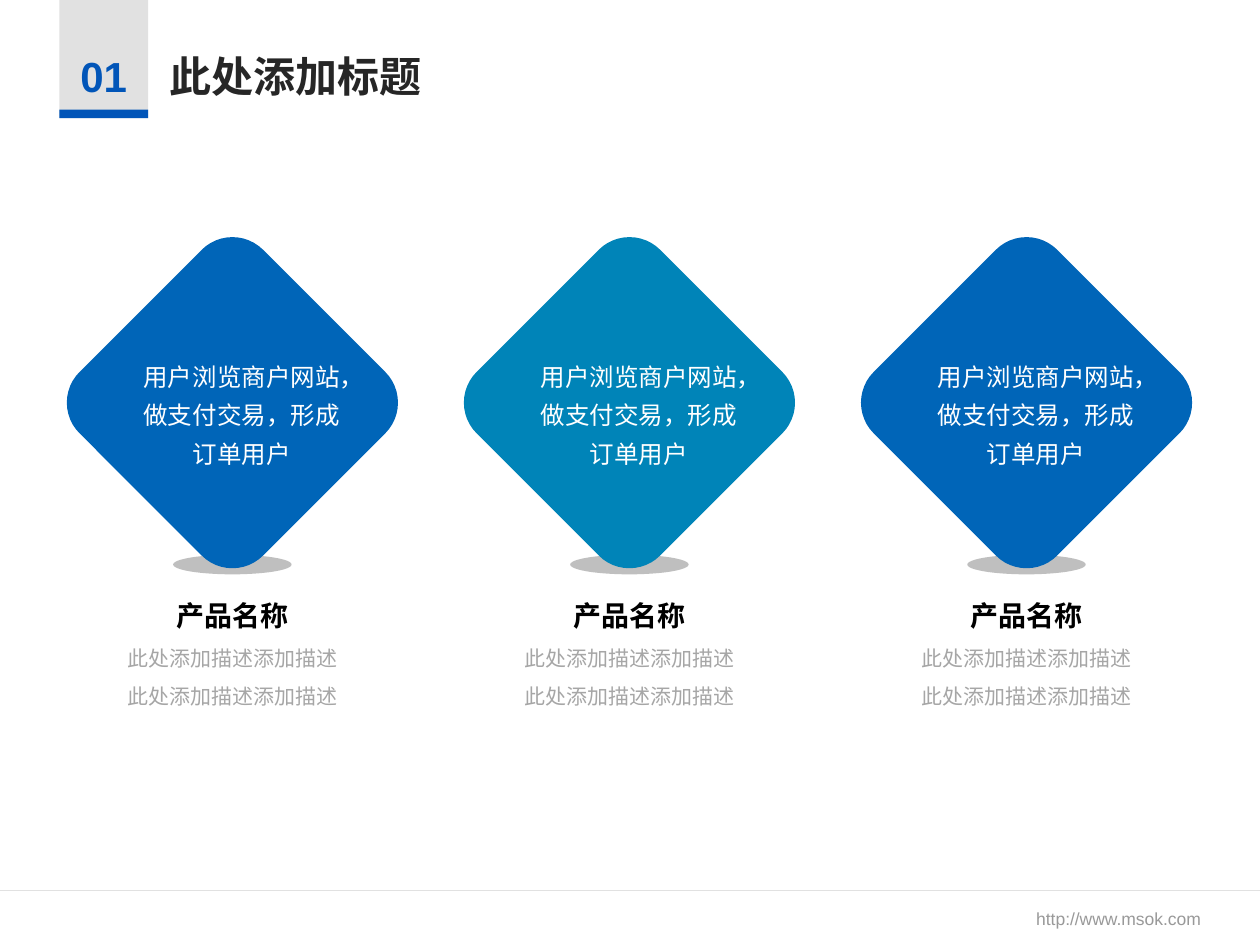
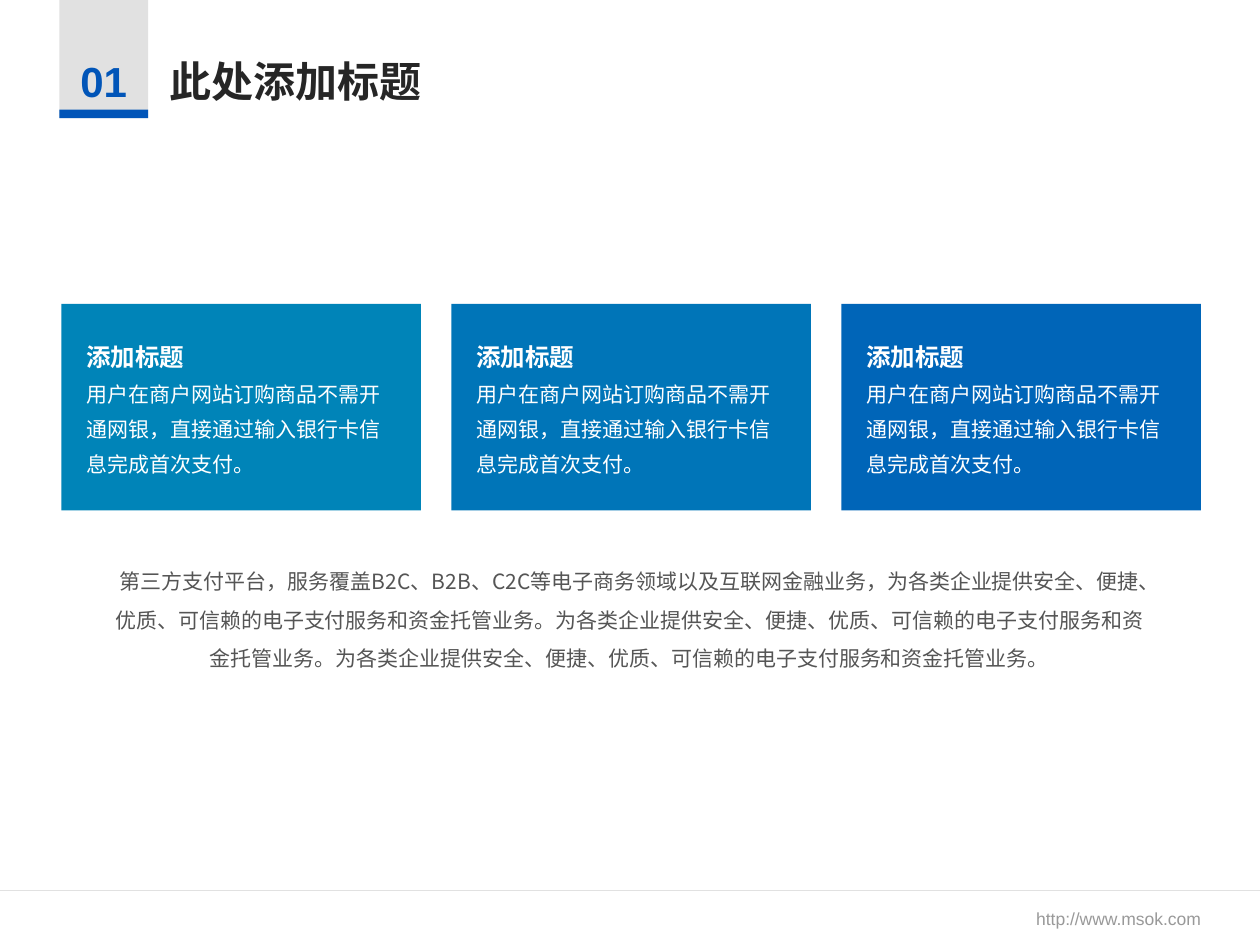
"""Build two product slides that share a numbered header and a footer."""
from dataclasses import dataclass

from lxml.etree import SubElement
from pptx import Presentation
from pptx.dml.color import RGBColor
from pptx.enum.shapes import MSO_CONNECTOR, MSO_SHAPE
from pptx.enum.text import PP_ALIGN
from pptx.oxml.ns import qn
from pptx.util import Pt

SECTION = "01"
TITLE = "此处添加标题"
FOOTER = "http://www.msok.com"

PRODUCT_NAME = "产品名称"
PRODUCT_DETAIL = "此处添加描述添加描述此处添加描述添加描述"
PRODUCT_TEXT = "用户浏览商户网站，做支付交易，形成订单用户"
PRODUCTS = [
    (color, PRODUCT_TEXT, PRODUCT_NAME, PRODUCT_DETAIL)
    for color in ("0065B8", "0084B8", "0065B8")
]

CARD_TITLE = "添加标题"
CARD_TEXT = "用户在商户网站订购商品不需开通网银，直接通过输入银行卡信息完成首次支付。"
CARDS = [(color, CARD_TITLE, CARD_TEXT) for color in ("0084B8", "0075B8", "0065B8")]

SUMMARY = (
    "第三方支付平台，服务覆盖B2C、B2B、C2C等电子商务领域以及互联网金融业务，"
    "为各类企业提供安全、便捷、优质、可信赖的电子支付服务和资金托管业务。"
    "为各类企业提供安全、便捷、优质、可信赖的电子支付服务和资金托管业务。"
    "为各类企业提供安全、便捷、优质、可信赖的电子支付服务和资金托管业务。"
)


@dataclass(frozen=True)
class Theme:
    latin: str = "Arial"
    chinese: str = "Noto Sans CJK SC"
    accent: str = "0155B8"
    pale: str = "E1E1E1"
    title: str = "262626"
    footer: str = "999999"
    name: str = "000000"
    detail: str = "A6A6A6"
    summary: str = "555555"
    shade: str = "BFBFBF"
    white: str = "FFFFFF"
    title_size: int = 24
    name_size: int = 16
    lead_size: int = 14
    body_size: int = 12
    footer_size: int = 10
    wide_spacing: int = 22
    card_spacing: int = 20


THEME = Theme()


def rgb(color):
    return RGBColor.from_string(color)


def add_block(slide, kind, left, top, width, height, color):
    block = slide.shapes.add_shape(kind, Pt(left), Pt(top), Pt(width), Pt(height))
    block.shadow.inherit = False
    block.fill.solid()
    block.fill.fore_color.rgb = rgb(color)
    block.line.fill.background()
    return block


def add_box(slide, left, top, width, height, wrap=True):
    box = slide.shapes.add_textbox(Pt(left), Pt(top), Pt(width), Pt(height))
    box.text_frame.word_wrap = wrap
    return box.text_frame


def write(frame, text, size, color, font=THEME.chinese, bold=False,
          align=PP_ALIGN.LEFT, spacing=None):
    para = frame.add_paragraph() if frame.text else frame.paragraphs[0]
    para.alignment = align
    if spacing:
        para.line_spacing = Pt(spacing)
    span = para.add_run()
    span.text = text
    span.font.size = Pt(size)
    span.font.bold = bold
    span.font.color.rgb = rgb(color)
    span.font.name = font
    SubElement(span.font._element, qn("a:ea"), typeface=font)


def add_page(deck, heading_top):
    page = deck.slides.add_slide(deck.slide_layouts[6])
    rule = page.shapes.add_connector(
        MSO_CONNECTOR.STRAIGHT, 0, Pt(509), deck.slide_width, Pt(509))
    rule.line.color.rgb = rgb(THEME.pale)
    rule.line.width = Pt(0.75)
    SubElement(rule._element.spPr, qn("a:effectLst"))
    write(add_box(page, 585, 515.5, 112, 19.4), FOOTER,
          THEME.footer_size, THEME.footer, font=THEME.latin)
    add_block(page, MSO_SHAPE.RECTANGLE, 33.9, 0, 50.7, 67.5, THEME.pale)
    add_block(page, MSO_SHAPE.RECTANGLE, 33.9, 62.6, 50.7, 4.9, THEME.accent)
    write(add_box(page, 38.9, heading_top, 41, 36, wrap=False), SECTION,
          THEME.title_size, THEME.accent, font=THEME.latin, bold=True)
    write(add_box(page, 90, heading_top, 158.4, 36, wrap=False), TITLE,
          THEME.title_size, THEME.title, bold=True)
    return page


def add_product(page, center, color, text, name, detail):
    side, shade_width, caption_width, text_width = 148.3, 67.7, 141, 129
    centered = {"align": PP_ALIGN.CENTER, "spacing": THEME.wide_spacing}
    caption = add_box(page, center - caption_width / 2, 335.5, caption_width, 73.4)
    write(caption, name, THEME.name_size, THEME.name, bold=True, **centered)
    write(caption, detail, THEME.body_size, THEME.detail, **centered)
    add_block(page, MSO_SHAPE.OVAL, center - shade_width / 2, 317,
              shade_width, 11.2, THEME.shade)
    diamond = add_block(page, MSO_SHAPE.ROUNDED_RECTANGLE, center - side / 2,
                        230.1 - side / 2, side, side, color)
    diamond.adjustments[0] = 0.167
    diamond.rotation = 315
    label = add_box(page, center + 5.3 - text_width / 2, 198, text_width, 73.4)
    write(label, text, THEME.lead_size, THEME.white, **centered)


def add_card(page, left, width, color, title, text):
    add_block(page, MSO_SHAPE.RECTANGLE, left, 173.6, width, 118, color)
    frame = add_box(page, left + 7.2, 188.6, width - 13.9, 87)
    white = {"color": THEME.white, "spacing": THEME.card_spacing}
    write(frame, title, THEME.lead_size, bold=True, **white)
    write(frame, text, THEME.body_size, **white)


def main():
    deck = Presentation()
    deck.slide_width, deck.slide_height = Pt(720), Pt(540)

    products_page = add_page(deck, 25.2)
    for index, product in enumerate(PRODUCTS):
        add_product(products_page, 132.8 + 226.9 * index, *product)

    cards_page = add_page(deck, 28.1)
    card_width, card_gap = 205.4, 17.45
    for index, card in enumerate(CARDS):
        add_card(cards_page, 35.1 + (card_width + card_gap) * index, card_width, *card)
    write(add_box(cards_page, 56, 314, 607.7, 73.4), SUMMARY, THEME.body_size,
          THEME.summary, align=PP_ALIGN.CENTER, spacing=THEME.wide_spacing)

    deck.save("out.pptx")


if __name__ == "__main__":
    main()
